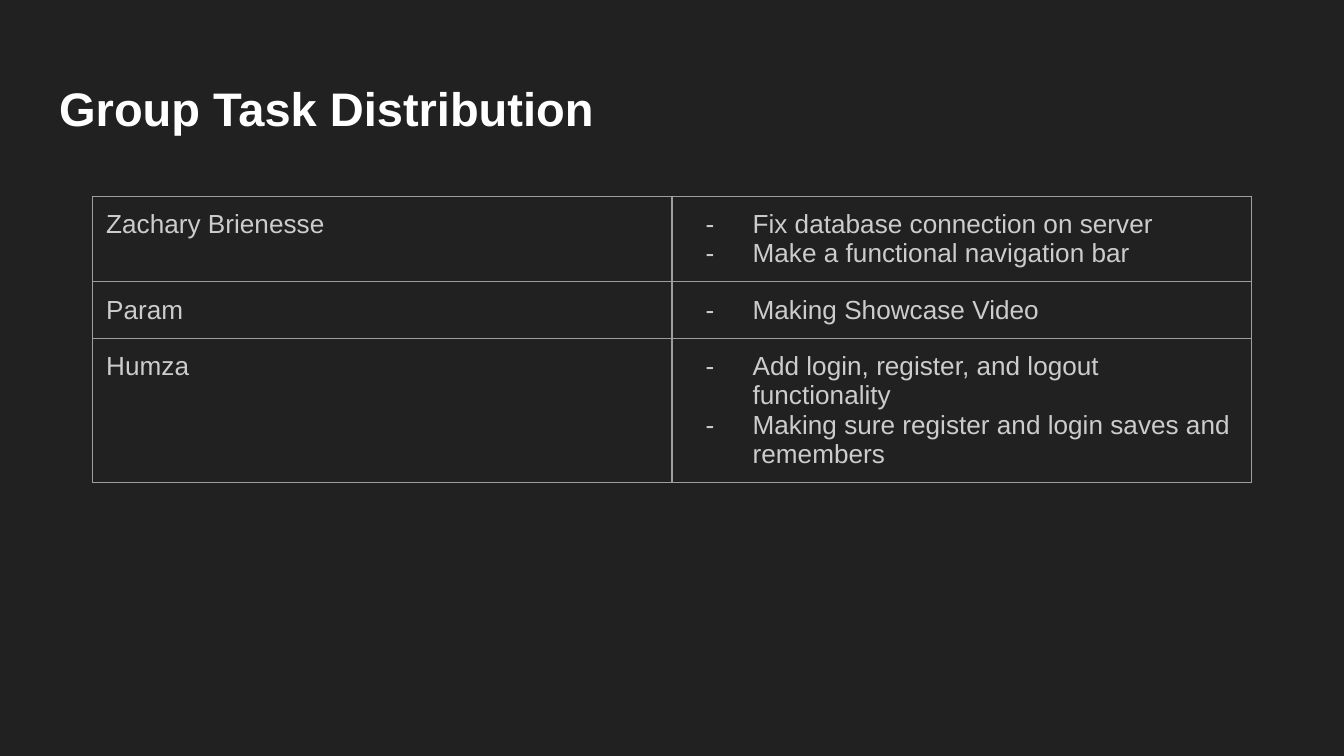
from lxml.etree import SubElement
from pptx import Presentation
from pptx.dml.color import RGBColor
from pptx.enum.text import MSO_ANCHOR, PP_ALIGN
from pptx.oxml import parse_xml
from pptx.oxml.ns import nsdecls, qn
from pptx.util import Inches, Pt

WIDTH = 10
HEIGHT = WIDTH * 9 / 16
INSET = 0.1
MIN_ROW = 0.42
FONT = "Arial"
COLORS = {"page": "212121", "title": "FFFFFF", "text": "CCCCCC", "border": "9E9E9E"}

TASKS = [
    ("Zachary Brienesse", ["Fix database connection on server",
                           "Make a functional navigation bar"]),
    ("Param", ["Making Showcase Video"]),
    ("Humza", ["Add login, register, and logout functionality",
               "Making sure register and login saves and remembers"]),
]


def add_dash(para):
    """Give a paragraph a hanging dash bullet."""
    properties = para._p.get_or_add_pPr()
    properties.set("marL", str(Inches(0.5)))
    properties.set("indent", str(Inches(-0.35)))
    color = SubElement(properties, qn("a:buClr"))
    SubElement(color, qn("a:srgbClr"), val=COLORS["text"])
    SubElement(properties, qn("a:buFont"), typeface=FONT)
    SubElement(properties, qn("a:buChar"), char="-")


def write(frame, lines, size=14, color="text", bold=False, dashed=False):
    """Fill a text frame with one paragraph per line."""
    frame.word_wrap = True
    for index, line in enumerate(lines):
        para = frame.add_paragraph() if index else frame.paragraphs[0]
        para.alignment = PP_ALIGN.LEFT
        span = para.add_run()
        span.text = line
        span.font.name = FONT
        span.font.size = Pt(size)
        span.font.bold = bold
        span.font.color.rgb = RGBColor.from_string(COLORS[color])
        if dashed:
            add_dash(para)


def style_cell(cell):
    """Clear the fill, set even margins and draw all four borders."""
    cell.fill.background()
    cell.margin_left = cell.margin_right = Inches(INSET)
    cell.margin_top = cell.margin_bottom = Inches(INSET)
    properties = cell._tc.get_or_add_tcPr()
    for index, side in enumerate("LRTB"):
        properties.insert(index, parse_xml(
            f'<a:ln{side} {nsdecls("a")} w="{Pt(0.75)}"><a:solidFill>'
            f'<a:srgbClr val="{COLORS["border"]}"/></a:solidFill></a:ln{side}>'))


def place_title(page, box, text):
    title = page.shapes.title
    title.left, title.top, title.width, title.height = map(Inches, box)
    frame = title.text_frame
    frame.margin_left = frame.margin_right = Inches(INSET)
    frame.margin_top = frame.margin_bottom = Inches(INSET)
    frame.vertical_anchor = MSO_ANCHOR.TOP
    write(frame, [text], size=25.2, color="title", bold=True)


def place_tasks(page, box, tasks):
    """Two equal columns; rows grow with their text."""
    table = page.shapes.add_table(len(tasks), 2, *map(Inches, box)).table
    table.first_row = table.horz_banding = False
    for row, (person, duties) in enumerate(tasks):
        for column, lines in enumerate(([person], duties)):
            cell = table.cell(row, column)
            style_cell(cell)
            write(cell.text_frame, lines, dashed=column == 1)


def main():
    deck = Presentation()
    deck.slide_width, deck.slide_height = Inches(WIDTH), Inches(HEIGHT)
    page = deck.slides.add_slide(deck.slide_layouts[5])
    page.background.fill.solid()
    page.background.fill.fore_color.rgb = RGBColor.from_string(COLORS["page"])

    # Heading and table are both centred across the page
    title_left, table_left = 0.34, 0.69
    place_title(page, (title_left, 0.49, WIDTH - 2 * title_left, 0.63),
                "Group Task Distribution")
    place_tasks(page, (table_left, 1.46, WIDTH - 2 * table_left, MIN_ROW * len(TASKS)),
                TASKS)
    deck.save("out.pptx")


if __name__ == "__main__":
    main()
